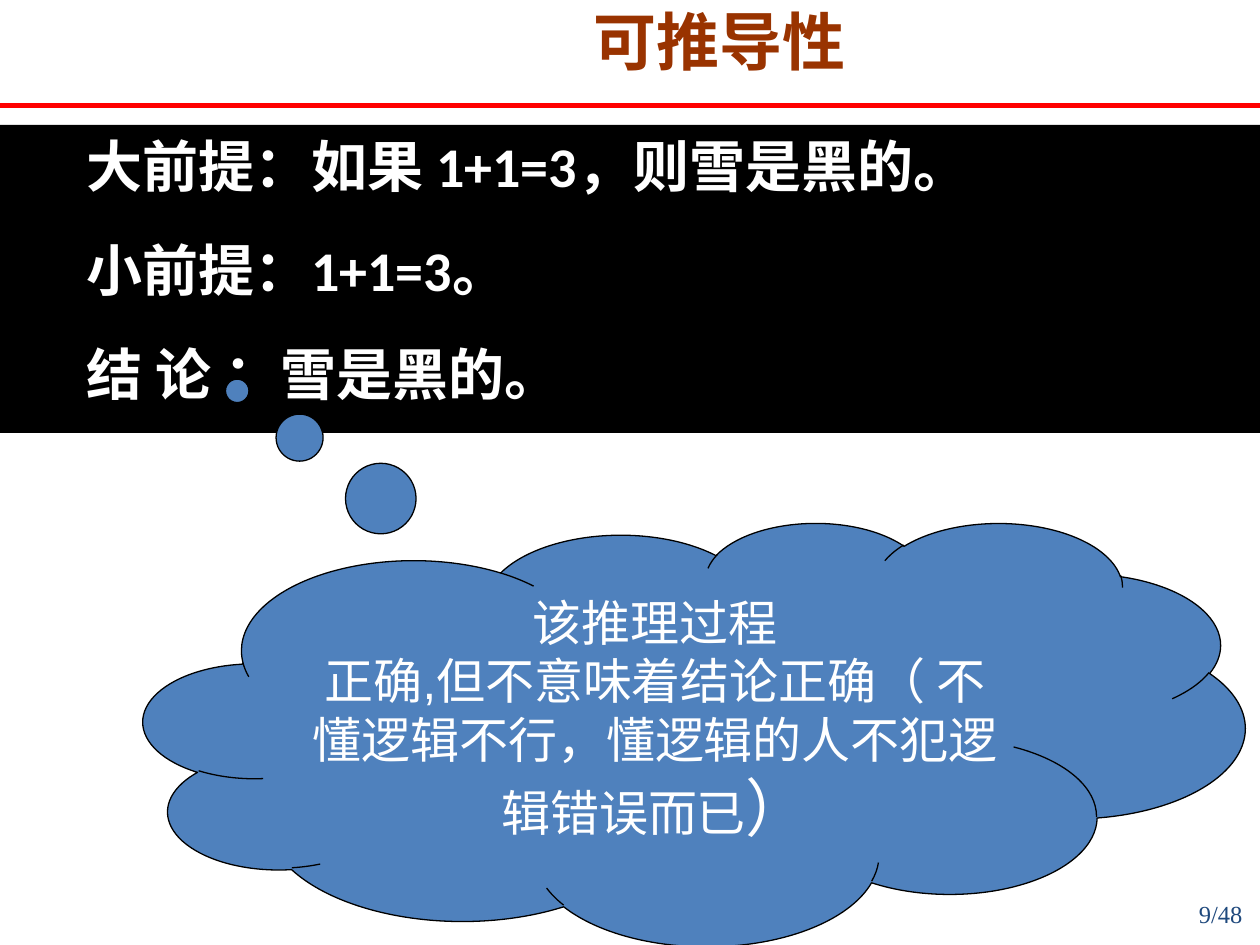
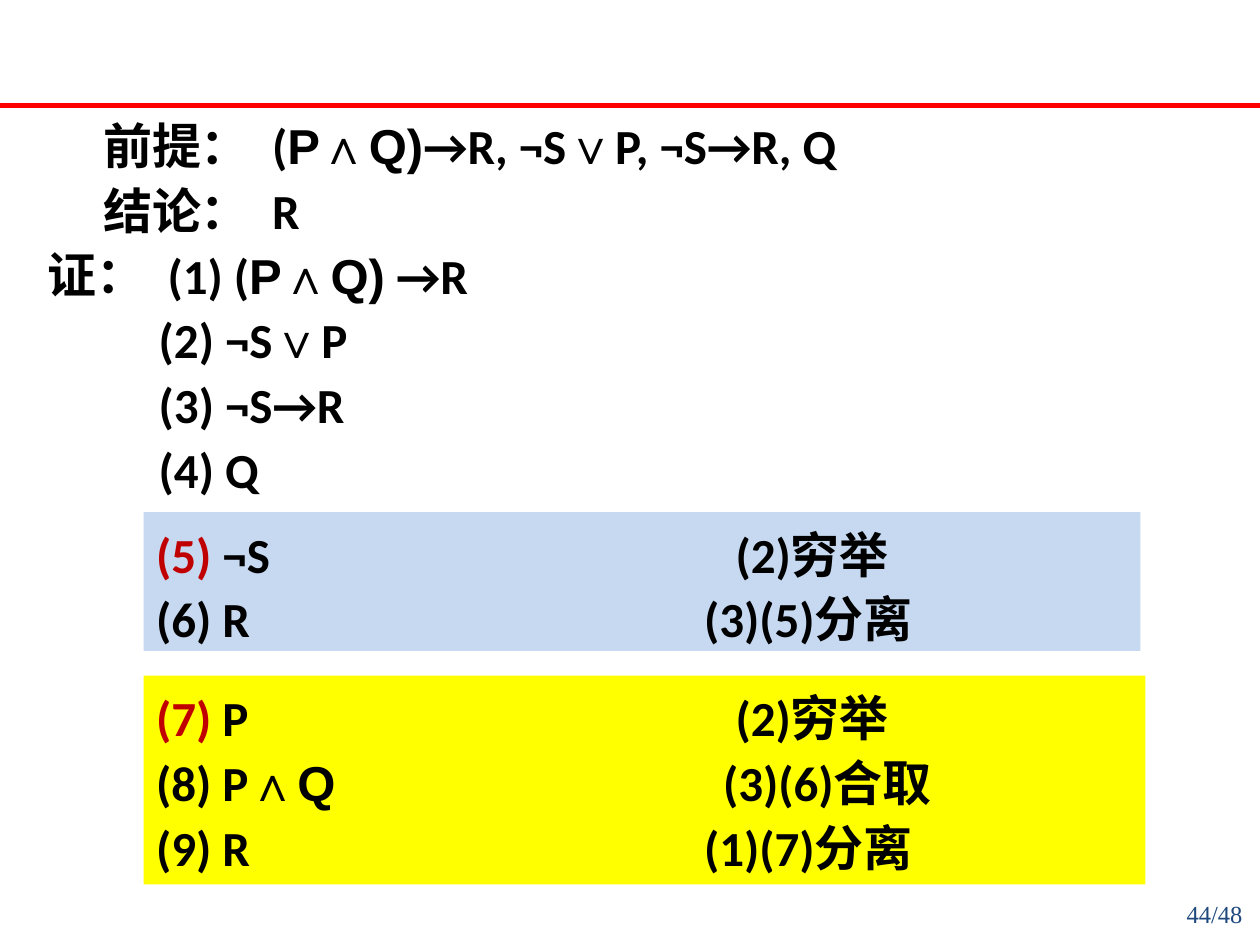
"""Two logic lecture slides: derivability, and a proof by exhaustion."""
import pptx
import pptx.util
import pptx.dml.color
import pptx.enum.shapes
import pptx.enum.text
import lxml.etree
from pptx.oxml.ns import qn

RGBColor = pptx.dml.color.RGBColor
WHITE = RGBColor(0xFF, 0xFF, 0xFF)
BLACK = RGBColor(0x00, 0x00, 0x00)
RULE_RED = RGBColor(0xFF, 0x00, 0x00)
STEP_RED = RGBColor(0xC0, 0x00, 0x00)
TITLE_BROWN = RGBColor(0x99, 0x33, 0x00)
NUMBER_BLUE = RGBColor(0x1F, 0x49, 0x7D)
CLOUD_BLUE = RGBColor(0x4F, 0x81, 0xBD)
PALE_BLUE = RGBColor(0xC6, 0xD9, 0xF1)
YELLOW = RGBColor(0xFF, 0xFF, 0x00)
SERIF = "Times New Roman"
RULE_ROW = 11.2
STEP_COLUMN = 11.4
LEFT = pptx.enum.text.PP_ALIGN.LEFT
CENTER = pptx.enum.text.PP_ALIGN.CENTER
RIGHT = pptx.enum.text.PP_ALIGN.RIGHT
TOP = pptx.enum.text.MSO_ANCHOR.TOP
MIDDLE = pptx.enum.text.MSO_ANCHOR.MIDDLE
SHAPES = pptx.enum.shapes.MSO_SHAPE

deck = pptx.Presentation()
deck.slide_width = pptx.util.Inches(10)
deck.slide_height = pptx.util.Inches(7.5)


def area(left, top, width, height):
    """Turn percentages of the slide into left, top, width and height."""
    sides = (deck.slide_width, deck.slide_height) * 2
    return [int(side * share / 100) for side, share in zip(sides, (left, top, width, height))]


def write(box, rows, size, colour, font="Calibri", bold=True, align=LEFT,
          anchor=TOP, leading=1.0, before=0):
    """Fill a box with rows of (indent, pieces); a piece is text, font, colour."""
    frame = box.text_frame
    frame.word_wrap = True
    frame.auto_size = pptx.enum.text.MSO_AUTO_SIZE.NONE
    frame.vertical_anchor = anchor
    for index, (indent, pieces) in enumerate(rows):
        para = frame.paragraphs[0] if index == 0 else frame.add_paragraph()
        para.alignment = align
        para.line_spacing = leading
        para.space_before = pptx.util.Pt(before)
        properties = para._p.get_or_add_pPr()
        properties.set("marL", str(pptx.util.Inches(indent)))
        properties.set("indent", "0")
        lxml.etree.SubElement(properties, qn("a:buNone"))
        para.font.size = pptx.util.Pt(size)
        para.font.bold = bold
        para.font.name = font
        para.font.color.rgb = colour
        for text, *style in pieces:
            span = para.add_run()
            span.text = text
            if style:
                span.font.name = style[0]
            if len(style) > 1:
                span.font.color.rgb = style[1]


pages = []
for number in ("9/48", "44/48"):
    page = deck.slides.add_slide(deck.slide_layouts[1])
    rule_height = area(0, RULE_ROW, 0, 0)[1]
    rule = page.shapes.add_connector(
        pptx.enum.shapes.MSO_CONNECTOR.STRAIGHT, 0, rule_height, deck.slide_width, rule_height)
    rule.line.color.rgb = RULE_RED
    rule.line.width = pptx.util.Pt(3)
    lxml.etree.SubElement(rule._element.spPr, qn("a:effectLst"))
    number_box = page.shapes.add_textbox(*area(76.3, 94.5, 23.3, 5.5))
    write(number_box, [(0, [(number,)])], 14, NUMBER_BLUE, SERIF, bold=False, align=RIGHT)
    pages.append(page)
derivability, proof = pages

title = derivability.shapes.title
title.left, title.top, title.width, title.height = area(37.1, -0.4, 40, 9.3)
write(title, [(0, [("可推导性",)])], 36, TITLE_BROWN, "Arial", align=CENTER, anchor=MIDDLE)

syllogism = derivability.placeholders[1]
syllogism.left, syllogism.top, syllogism.width, syllogism.height = area(0, 13.2, 100, 32.6)
syllogism.fill.solid()
syllogism.fill.fore_color.rgb = BLACK
premises = ("大前提：如果 1+1=3，则雪是黑的。", "小前提：1+1=3。", "结 论 ：雪是黑的。")
write(syllogism, [(0.59, [(premise,)]) for premise in premises], 32, WHITE, before=21)

cloud = derivability.shapes.add_shape(SHAPES.CLOUD_CALLOUT, *area(11.4, 55.25, 87.4, 44.8))
cloud.adjustments[0], cloud.adjustments[1] = -0.83 / 2, -0.81
cloud.shadow.inherit = False
cloud.fill.solid()
cloud.fill.fore_color.rgb = CLOUD_BLUE
cloud.line.color.rgb = BLACK
cloud.line.width = pptx.util.Pt(0.75)
remark = [
    (0, [("该推理过程",)]),
    (0, [("正确,但不意味着结论正确（ 不懂逻辑不行，懂逻辑的人不犯逻辑错误而已",), ("）",)]),
]
write(cloud, remark, 28, WHITE, "Arial", bold=False, align=CENTER)
cloud.text_frame.paragraphs[1].runs[-1].font.size = pptx.util.Pt(36)

empty_title = proof.shapes.title._element
empty_title.getparent().remove(empty_title)
argument_area = area(2.8, 10.95, 92.9, 42.7)
labels = proof.shapes.add_textbox(*argument_area)
label_rows = [(0.44, [("前提：",)]), (0.44, [("结论：",)]), (0, [("证：",)])]
write(labels, label_rows, 28, BLACK, leading=1.1)

argument = proof.placeholders[1]
argument.left, argument.top, argument.width, argument.height = argument_area
argument_rows = [
    (1.78, [("(",), ("P∧Q)", "Arial"), ("→R, ¬S",), ("∨", SERIF), ("P, ¬S→R, Q",)]),
    (1.78, [("R",)]),
    (0.95, [("(1) (",), ("P∧Q)", "Arial"), (" →R",)]),
    (0.88, [("(2) ¬S",), ("∨", SERIF), ("P",)]),
    (0.88, [("(3) ¬S→R",)]),
    (0.88, [("(4) Q",)]),
]
write(argument, argument_rows, 28, BLACK, leading=1.1)

case_one = [(0, [("(5)", "Calibri", STEP_RED), (" ¬S",)]), (0, [("(6) R",)])]
case_one_reasons = [(4.6, [("(2)穷举",)]), (4.35, [("(3)(5)分离",)])]
case_two = [
    (0, [("(7)", "Calibri", STEP_RED), (" P",)]),
    (0, [("(8) P",), ("∧Q", "Arial")]),
    (0, [("(9) R",)]),
]
case_two_reasons = [(4.6, [("(2)穷举",)]), (4.5, [("(3)(6)合取",)]), (4.35, [("(1)(7)分离",)])]
for steps, reasons, colour, top, width, height in (
        (case_two, case_two_reasons, YELLOW, 71.5, 79.5, 22.1),
        (case_one, case_one_reasons, PALE_BLUE, 54.2, 79.1, 14.7)):
    case_area = area(STEP_COLUMN, top, width, height)
    case_box = proof.shapes.add_shape(SHAPES.RECTANGLE, *case_area)
    case_box.shadow.inherit = False
    case_box.fill.solid()
    case_box.fill.fore_color.rgb = colour
    case_box.line.fill.background()
    write(case_box, steps, 28, BLACK, leading=1.1)
    write(proof.shapes.add_textbox(*case_area), reasons, 28, BLACK, leading=1.1)

deck.save("out.pptx")
